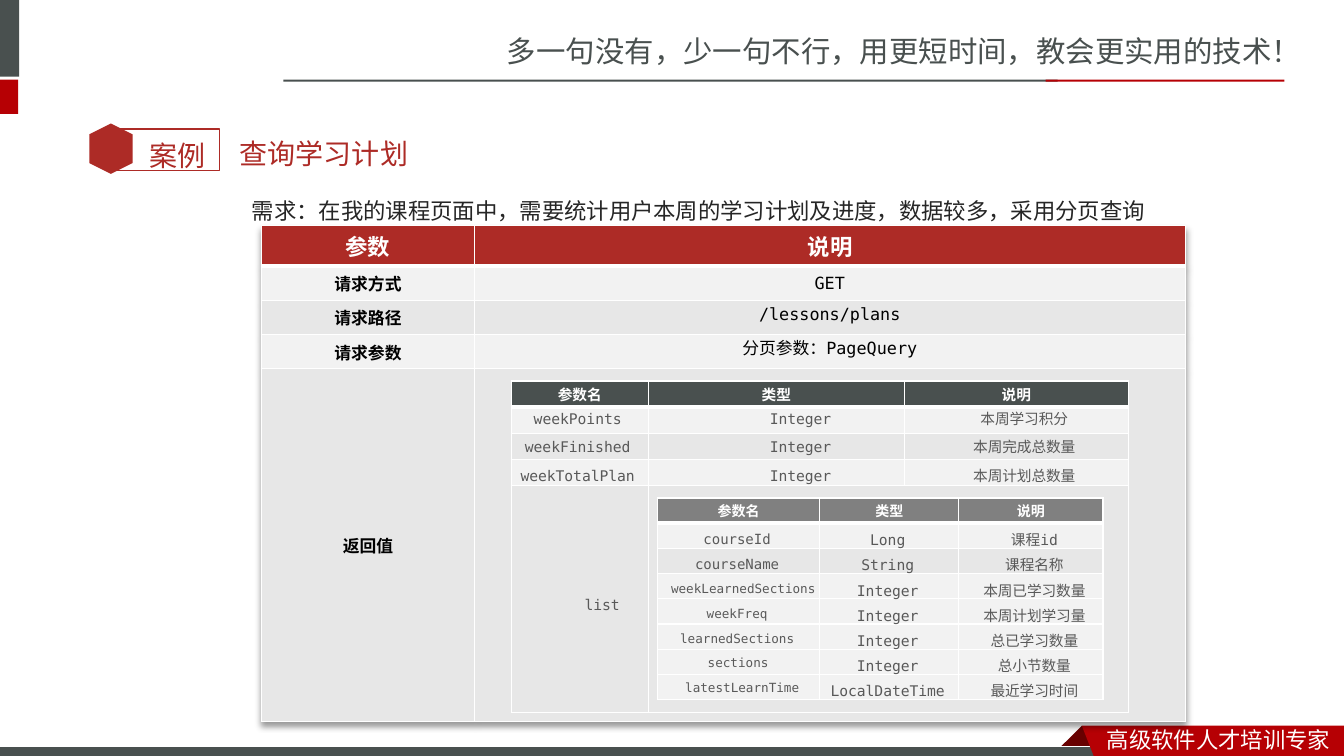
from lxml import etree
from pptx import Presentation
from pptx.dml.color import RGBColor
from pptx.enum.shapes import MSO_SHAPE
from pptx.enum.text import MSO_ANCHOR, MSO_AUTO_SIZE, PP_ALIGN
from pptx.oxml.ns import qn
from pptx.util import Inches, Pt

RECTANGLE, HEXAGON = MSO_SHAPE.RECTANGLE, MSO_SHAPE.HEXAGON
TOP, MIDDLE = MSO_ANCHOR.TOP, MSO_ANCHOR.MIDDLE
LEFT, CENTER = PP_ALIGN.LEFT, PP_ALIGN.CENTER
GROW = MSO_AUTO_SIZE.SHAPE_TO_FIT_TEXT

COLORS = {
    "slate": "49504F", "red": "B60004", "dark_red": "680000", "brick": "AD2B26",
    "white": "FFFFFF", "black": "000000", "ink": "262626", "text": "595959",
    "gray": "808080", "light": "F2F2F2", "band": "E7E7E7",
}
SANS, MONO = "Noto Sans CJK SC", "DejaVu Sans Mono"


def rgb(name):
    return RGBColor.from_string(COLORS[name])


class SlideBuilder:
    def __init__(self, slide):
        self.slide = slide

    def style(self, paragraph, size, color, font=MONO, bold=False, align=CENTER):
        paragraph.alignment = align
        for run in paragraph.runs:
            run.font.size, run.font.bold, run.font.name = Pt(size), bold, font
            run.font.color.rgb = rgb(color)
            east_asian = etree.SubElement(run.font._element, qn("a:ea"))
            east_asian.set("typeface", font if "CJK" in font else SANS)

    def paint(self, shape, fill=None, line=None, line_width=1):
        shape.shadow.inherit = False
        if fill:
            shape.fill.solid()
            shape.fill.fore_color.rgb = rgb(fill)
        else:
            shape.fill.background()
        if line:
            shape.line.color.rgb = rgb(line)
            shape.line.width = Pt(line_width)
        else:
            shape.line.fill.background()

    def shape(self, kind, box, rotation=0, **paint):
        shape = self.slide.shapes.add_shape(kind, *map(Inches, box))
        shape.rotation = rotation
        self.paint(shape, **paint)

    def outline(self, points, fill):
        corners = [(Inches(x), Inches(y)) for x, y in points]
        builder = self.slide.shapes.build_freeform(*corners[0])
        builder.add_line_segments(corners[1:], close=True)
        self.paint(builder.convert_to_shape(), fill)

    def text(self, text, box, size, color, font=MONO, align=CENTER, anchor=TOP,
             spacing=1, before=0, side_inset=0.1, grow=True):
        frame = self.slide.shapes.add_textbox(*map(Inches, box)).text_frame
        frame.text = text
        frame.word_wrap = True
        frame.vertical_anchor = anchor
        frame.margin_left = frame.margin_right = Inches(side_inset)
        if grow:
            frame.auto_size = GROW
        paragraph = frame.paragraphs[0]
        paragraph.line_spacing = spacing
        paragraph.space_before = Pt(before)
        self.style(paragraph, size, color, font, align=align)

    def border(self, cell, side, width):
        properties = cell._tc.get_or_add_tcPr()
        line = etree.SubElement(properties, qn(f"a:ln{side}"), w=str(Pt(width)))
        fill = etree.SubElement(line, qn("a:solidFill"))
        etree.SubElement(fill, qn("a:srgbClr"), val=COLORS["white"])

    def table(self, left, top, widths, heights, header, header_fill, header_size,
              row_fills, row_labels=(), shadow=False):
        box = (left, top, sum(widths), sum(heights))
        table = self.slide.shapes.add_table(
            len(heights), len(widths), *map(Inches, box)).table
        for column, width in zip(table.columns, widths):
            column.width = Inches(width)
        for row, height in zip(table.rows, heights):
            row.height = Inches(height)
        fills = [header_fill, *row_fills]
        for i, row in enumerate(table.rows):
            for j, cell in enumerate(row.cells):
                cell.margin_top = cell.margin_bottom = 0
                cell.vertical_anchor = MIDDLE
                top_width, bottom_width = (3 if i == 1 else 1), (3 if i == 0 else 1)
                for side, width in zip("LRTB", (1, 1, top_width, bottom_width)):
                    self.border(cell, side, width)
                cell.fill.solid()
                cell.fill.fore_color.rgb = rgb(fills[i])
                paragraph = cell.text_frame.paragraphs[0]
                if i == 0:
                    paragraph.text = header[j]
                    self.style(paragraph, header_size, "white", bold=True)
                elif j == 0 and row_labels:
                    paragraph.text = row_labels[i - 1]
                    self.style(paragraph, 12, "black", bold=True)
                else:
                    etree.SubElement(paragraph._p, qn("a:endParaRPr"), sz="800")
        if shadow:
            effects = etree.Element(qn("a:effectLst"))
            outer = etree.SubElement(effects, qn("a:outerShdw"), blurRad="50800",
                                     dist="38100", dir="5400000")
            color = etree.SubElement(outer, qn("a:srgbClr"), val=COLORS["black"])
            etree.SubElement(color, qn("a:alpha"), val="40000")
            table._tbl.tblPr.insert(0, effects)
        return table


def main():
    presentation = Presentation()
    presentation.slide_width, presentation.slide_height = Inches(13.33), Inches(7.5)
    builder = SlideBuilder(presentation.slides.add_slide(presentation.slide_layouts[6]))

    # Slogan and rules at the top
    builder.text("多一句没有，少一句不行，用更短时间，教会更实用的技术！",
                 (4.93, 0.28, 8.41, 0.47), 21, "slate", SANS, LEFT)
    for box, color in [
        ((-0.06, 0, 0.25, 0.76), "slate"), ((-0.06, 0.79, 0.24, 0.34), "red"),
        ((2.81, 0.79, 7.68, 0.02), "slate"), ((10.37, 0.79, 2.37, 0.02), "red"),
    ]:
        builder.shape(RECTANGLE, box, fill=color)

    # Footer ribbon
    builder.outline([(10.73, 7.2), (10.95, 7.42), (10.94, 7.43), (10.52, 7.43),
                     (10.51, 7.42)], "dark_red")
    builder.shape(RECTANGLE, (-0.01, 7.41, 11, 0.12), fill="slate", line="white",
                  line_width=0.75)
    builder.outline([(10.73, 7.2), (13.33, 7.2), (13.33, 7.54), (10.86, 7.53)], "red")
    builder.text("高级软件人才培训专家", (10.88, 7.15, 2.45, 0.37), 16, "white", SANS, LEFT)

    # Case badge, title and requirement
    builder.shape(RECTANGLE, (1.09, 1.28, 1.09, 0.41), line="brick")
    builder.shape(HEXAGON, (0.85, 1.26, 0.5, 0.43), rotation=90, fill="brick")
    builder.text("案例", (1.38, 1.16, 0.85, 0.56), 20, "brick", "Roboto", LEFT, spacing=1.5)
    builder.text("查询学习计划", (2.28, 1, 3.15, 0.7), 20, "brick", "Arial", LEFT, MIDDLE,
                 spacing=2, before=4, grow=False)
    builder.text("需求：在我的课程页面中，需要统计用户本周的学习计划及进度，数据较多，采用分页查询",
                 (2.4, 1.77, 10.08, 0.71), 16, "ink", "Noto Sans CJK JP", LEFT,
                 spacing=1.5, before=3, grow=False)

    # Request table
    builder.table(2.59, 2.24, [2.12, 7.05], [0.4] + [0.34] * 3 + [3.5],
                  ["参数", "说明"], "brick", 16, ["light", "band"] * 2,
                  ["请求方式", "请求路径", "请求参数", "返回值"], shadow=True)
    for text, top in [("GET", 2.66), ("/lessons/plans", 2.96), ("分页参数：PageQuery", 3.3)]:
        builder.text(text, (4.92, top, 6.62, 0.3), 12, "black")

    # Return value table
    field_header = ["参数名", "类型", "说明"]
    result_table = builder.table(5.07, 3.78, [1.36, 2.54, 2.22], [0.26] * 4 + [2.25],
                                 field_header, "slate", 10.5, ["light", "band"] * 2)
    result_table.cell(4, 1).merge(result_table.cell(4, 2))
    result_fields = [("weekPoints", "本周学习积分"), ("weekFinished", "本周完成总数量"),
                     ("weekTotalPlan", "本周计划总数量")]
    for i, (name, meaning) in enumerate(result_fields):
        top = 4.01 + 0.28 * i
        for text, left, width in [(name, 5.04, 1.38), ("Integer", 6.85, 2.18),
                                  (meaning, 9.03, 2.26)]:
            builder.text(text, (left, top, width, 0.29), 10.5, "text", anchor=MIDDLE)
    builder.text("list", (5.7, 5.86, 0.69, 0.28), 10.5, "text", align=LEFT)

    # List item table
    builder.table(6.52, 4.94, [1.61, 1.38, 1.43], [0.25] * 8, field_header, "gray", 10,
                  ["light", "band"] + ["light"] * 5)
    item_fields = [
        ("courseId", 10, 6.52, "Long", "课程id"),
        ("courseName", 10, 6.52, "String", "课程名称"),
        ("weekLearnedSections", 9, 6.58, "Integer", "本周已学习数量"),
        ("weekFreq", 9, 6.52, "Integer", "本周计划学习量"),
        ("learnedSections", 9, 6.52, "Integer", "总已学习数量"),
        ("sections", 9, 6.53, "Integer", "总小节数量"),
        ("latestLearnTime", 9, 6.57, "LocalDateTime", "最近学习时间"),
    ]
    for i, (name, size, left, kind, meaning) in enumerate(item_fields):
        builder.text(name, (left, 5.22 + 0.245 * i, 1.58, 0.26), size, "text",
                     anchor=MIDDLE, side_inset=0)
        top = 5.21 + 0.25 * i
        builder.text(kind, (8.1, top, 1.41, 0.29), 10.5, "text", anchor=MIDDLE)
        builder.text(meaning, (9.51, top, 1.5, 0.29), 10.5, "text", anchor=MIDDLE)

    presentation.save("out.pptx")


if __name__ == "__main__":
    main()
